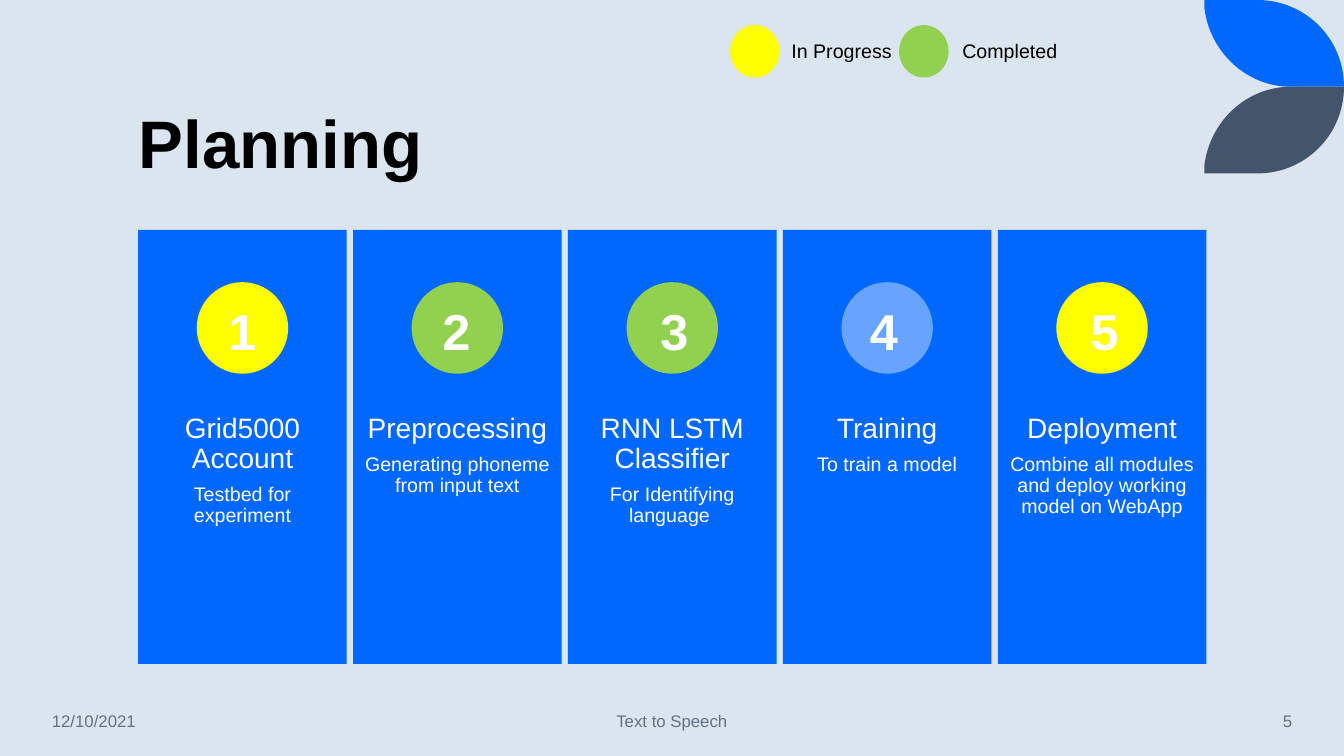
"""Draw the planning slide: a legend, five step cards and a footer."""
from dataclasses import dataclass

from lxml.etree import SubElement
from pptx import Presentation
from pptx.dml.color import RGBColor
from pptx.enum.shapes import MSO_SHAPE
from pptx.enum.text import MSO_ANCHOR, PP_ALIGN
from pptx.oxml.ns import qn
from pptx.util import Emu, Inches, Pt

RECT, OVAL = MSO_SHAPE.RECTANGLE, MSO_SHAPE.OVAL
LEFT, MID, RIGHT = PP_ALIGN.LEFT, PP_ALIGN.CENTER, PP_ALIGN.RIGHT
TOP, CORE, BASE = MSO_ANCHOR.TOP, MSO_ANCHOR.MIDDLE, MSO_ANCHOR.BOTTOM

WIDE, HIGH = Inches(13.33), Inches(7.5)
COL, ROW = WIDE / 100, HIGH / 100

BLUE, PALE, SLATE = "0068FF", "66A4FF", "44546A"
GOLD, GREEN = "FFFF00", "92D050"
WHITE, BLACK, GREY, SKY = "FFFFFF", "000000", "637183", "DAE5EF"

RIM = [(0, 0), (0.38, 0), (0.72, 0), (1, 0.44), (1, 1),
       (0.62, 1), (0.3, 1), (0.04, 0.6), (0, 0.1)]
BENDS = (2, 6)


@dataclass
class Box:
    x: float
    y: float
    w: float
    h: float

    def place(self) -> list[Emu]:
        return [Emu(round(n)) for n in
                (self.x * COL, self.y * ROW, self.w * COL, self.h * ROW)]


@dataclass
class Line:
    text: str
    size: float
    color: str
    bold: bool = False
    space: float = 1
    before: float = 0
    tabs: tuple[float, ...] = ()


@dataclass
class Step:
    name: str
    note: str
    color: str
    shift: float


@dataclass
class Key:
    name: str
    dot: float
    tab: float
    color: str


@dataclass
class Foot:
    text: str
    x: float
    w: float
    align: PP_ALIGN


STEPS = [
    Step("Grid5000 Account", "Testbed for experiment", GOLD, 0),
    Step("Preprocessing", "Generating phoneme from input text", GREEN, -0.07),
    Step("RNN LSTM Classifier", "For Identifying language ", GREEN, 0.15),
    Step("Training", "To train a model", PALE, -0.24),
    Step("Deployment", "Combine all modules and deploy working model on WebApp",
         GOLD, 0.19),
]
KEYS = [Key("In Progress", 54.33, 6.9, GOLD), Key("Completed", 66.9, 19.62, GREEN)]
FEET = [
    Foot("12/10/2021", 3.12, 13.95, LEFT),
    Foot("Text to Speech", 33.12, 33.75, MID),
    Foot("5", 83.3, 13.58, RIGHT),
]


def tint(code: str) -> RGBColor:
    return RGBColor.from_string(code)


def paint(shape, code: str) -> None:
    shape.shadow.inherit = False
    shape.fill.solid()
    shape.fill.fore_color.rgb = tint(code)
    shape.line.fill.background()


def block(slide, kind: MSO_SHAPE, box: Box, code: str) -> None:
    paint(slide.shapes.add_shape(kind, *box.place()), code)


def write(slide, box: Box, lines: list[Line], align: PP_ALIGN = LEFT,
          anchor: MSO_ANCHOR = TOP, side: float = 0.1, edge: float = 0.05) -> None:
    frame = slide.shapes.add_textbox(*box.place()).text_frame
    form = {"word_wrap": True, "vertical_anchor": anchor,
            "margin_left": Inches(side), "margin_right": Inches(side),
            "margin_top": Inches(edge), "margin_bottom": Inches(edge)}
    for key, value in form.items():
        setattr(frame, key, value)
    for i, line in enumerate(lines):
        para = frame.add_paragraph() if i else frame.paragraphs[0]
        form = {"alignment": align, "line_spacing": line.space,
                "space_before": Pt(line.before)}
        for key, value in form.items():
            setattr(para, key, value)
        if line.tabs:
            stops = SubElement(para._p.get_or_add_pPr(), qn("a:tabLst"))
            for tab in line.tabs:
                SubElement(stops, qn("a:tab"), pos=str(round(tab * COL)), algn="l")
        run = para.add_run()
        run.text = line.text
        form = {"name": "Arial", "size": Pt(line.size), "bold": line.bold}
        for key, value in form.items():
            setattr(run.font, key, value)
        run.font.color.rgb = tint(line.color)


def leaf(slide, box: Box, code: str, flip: bool) -> None:
    x, y, w, h = box.place()
    spots = [(round(x + u * w), round(y + (1 - v if flip else v) * h))
             for u, v in RIM]
    pen = slide.shapes.build_freeform(*spots[0])
    pen.add_line_segments(spots[1:], close=True)
    shape = pen.convert_to_shape()
    paint(shape, code)
    route = next(shape._element.iter(qn("a:path")))
    steps = list(route)
    for first in BENDS:
        bend = SubElement(route, qn("a:cubicBezTo"))
        steps[first].addprevious(bend)
        for step in steps[first:first + 3]:
            bend.append(step[0])
            route.remove(step)


def card(slide, rank: int, step: Step) -> None:
    x, w, dot, num = 10.28 + 15.99 * rank, 15.52, 6.8, 3.6
    block(slide, RECT, Box(x, 30.4, w, 57.43), BLUE)
    write(slide, Box(x, 53.33, w, 22.93),
          [Line(step.name, 20, WHITE, space=0.9),
           Line(step.note, 14, WHITE, space=0.9, before=7)],
          MID, side=0.11, edge=0.11)
    block(slide, OVAL, Box(x + (w - dot) / 2, 37.33, dot, 12.1), step.color)
    write(slide, Box(x + (w - num) / 2 + step.shift, 39.07, num, 9.47),
          [Line(str(rank + 1), 36, WHITE, bold=True)], MID)


def main() -> None:
    deck = Presentation()
    deck.slide_width, deck.slide_height = WIDE, HIGH
    slide = deck.slides.add_slide(deck.slide_layouts[6])
    back = slide.background.fill
    back.solid()
    back.fore_color.rgb = tint(SKY)

    for i, code in enumerate((BLUE, SLATE)):
        leaf(slide, Box(89.62, 11.47 * i, 10.38, 11.47), code, bool(i))
    write(slide, Box(9.6, 5.6, 80.18, 19.33),
          [Line("Planning", 48, BLACK, bold=True, space=0.9)], anchor=BASE)
    for rank, step in enumerate(STEPS):
        card(slide, rank, step)
    for key in KEYS:
        block(slide, OVAL, Box(key.dot, 3.33, 3.68, 6.93), key.color)
    names = "".join(f"\t{key.name}" for key in KEYS)
    write(slide, Box(51.24, 3.87, 33.75, 5.87),
          [Line(names, 14, BLACK, tabs=tuple(key.tab for key in KEYS))], edge=0.1)
    for foot in FEET:
        write(slide, Box(foot.x, 92.67, foot.w, 5.33),
              [Line(foot.text, 12, GREY)], foot.align, CORE)
    deck.save("out.pptx")


if __name__ == "__main__":
    main()
